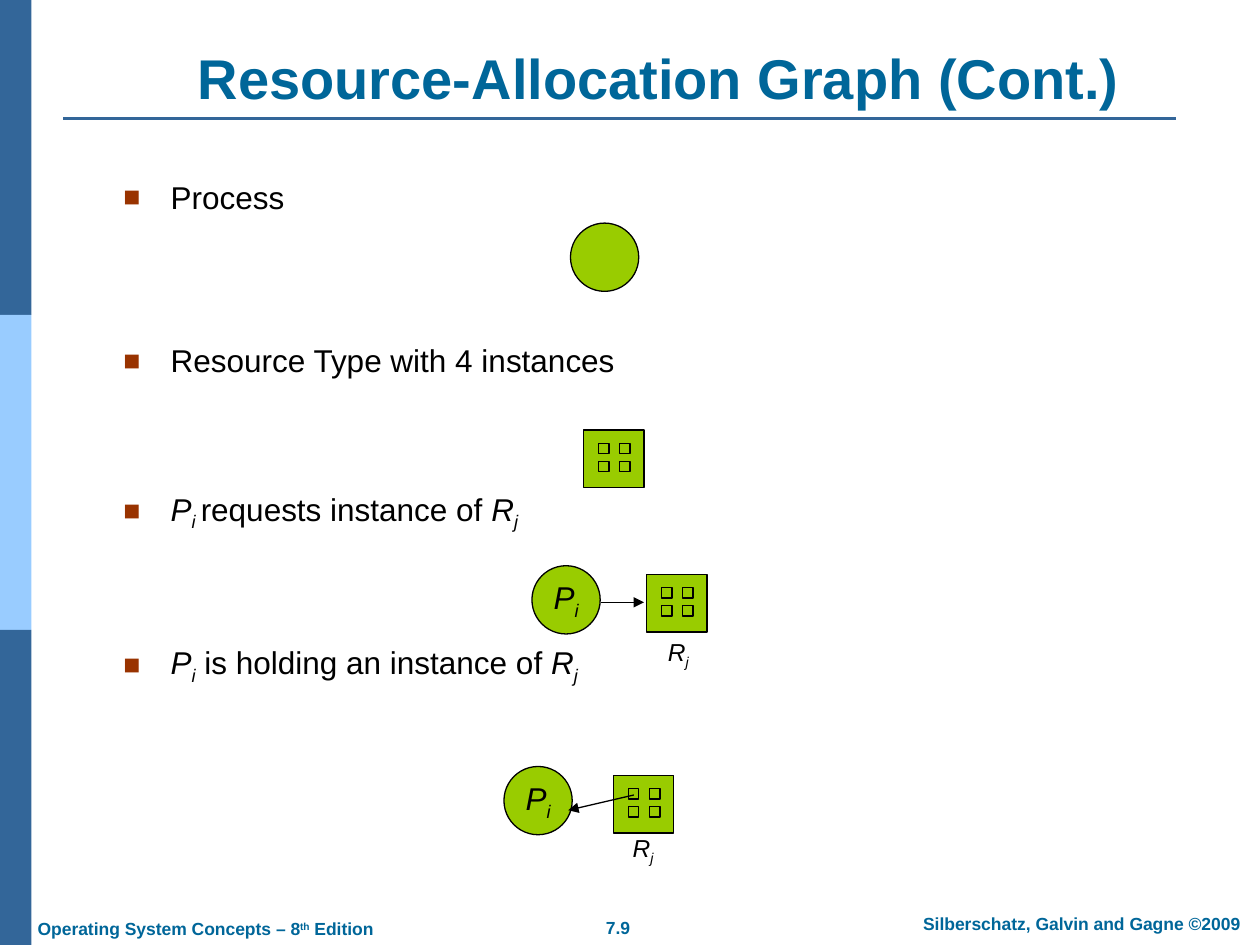
from lxml import etree
from pptx import Presentation
from pptx.dml.color import RGBColor
from pptx.enum.shapes import MSO_CONNECTOR, MSO_SHAPE
from pptx.enum.text import MSO_ANCHOR, PP_ALIGN
from pptx.oxml.ns import qn
from pptx.util import Pt

RECT, OVAL = MSO_SHAPE.RECTANGLE, MSO_SHAPE.OVAL
LINE = MSO_CONNECTOR.STRAIGHT
LEFT, CENTER = PP_ALIGN.LEFT, PP_ALIGN.CENTER
TOP, MIDDLE, BOTTOM = MSO_ANCHOR.TOP, MSO_ANCHOR.MIDDLE, MSO_ANCHOR.BOTTOM

NAVY = RGBColor(0x33, 0x66, 0x99)
SKY = RGBColor(0x99, 0xCC, 0xFF)
TEAL = RGBColor(0x00, 0x66, 0x99)
GREEN = RGBColor(0x99, 0xCC, 0x00)
BLACK = RGBColor(0, 0, 0)
RUST = RGBColor(0x99, 0x33, 0x00)

HEAD = {"size": Pt(32), "bold": True}
FOOT = {"size": Pt(10), "bold": True}
BODY = {"size": Pt(18)}
NAME = {"size": Pt(18), "italic": True}
MARK = {"size": Pt(14), "italic": True}
SUB, SUPER = -25000, 30000


class Deck:
    """Holds the font and the current slide; all lengths are points."""

    font = "Arial"

    def __init__(self, slide):
        self.slide = slide
        self.shapes = slide.shapes

    def shape(self, kind, box, fill, edge=None, home=None):
        item = (home or self.shapes).add_shape(kind, *map(Pt, box))
        item.shadow.inherit = False
        item.fill.solid()
        item.fill.fore_color.rgb = fill
        if edge is None:
            item.line.fill.background()
        else:
            item.line.color.rgb = edge
            item.line.width = Pt(0.75)
        return item

    def frame(self, item, anchor, wrap=True, inset=(7.2, 3.6)):
        side, end = map(Pt, inset)
        frame = item.text_frame
        values = {"word_wrap": wrap, "vertical_anchor": anchor,
                  "margin_left": side, "margin_right": side,
                  "margin_top": end, "margin_bottom": end}
        for key, value in values.items():
            setattr(frame, key, value)
        return frame

    def fill(self, para, runs, color, align=CENTER):
        """Add (text, style, baseline shift) runs to a paragraph."""
        para.alignment = align
        for text, style, shift in runs:
            run = para.add_run()
            run.text = text
            for key, value in {"name": self.font, **style}.items():
                setattr(run.font, key, value)
            run.font.color.rgb = color
            if shift:
                run._r.get_or_add_rPr().set("baseline", str(shift))

    def text(self, box, runs, color, align=CENTER, anchor=TOP, **opts):
        item = self.shapes.add_textbox(*map(Pt, box))
        frame = self.frame(item, anchor, **opts)
        self.fill(frame.paragraphs[0], runs, color, align)

    def bullets(self, box, items):
        """Add square-bulleted paragraphs from (space before, runs) pairs."""
        frame = self.frame(self.shapes.add_textbox(*map(Pt, box)), TOP)
        for spot, (gap, runs) in enumerate(items):
            para = frame.add_paragraph() if spot else frame.paragraphs[0]
            self.fill(para, runs, BLACK, LEFT)
            para.space_before = Pt(gap)
            props = para._p.get_or_add_pPr()
            props.set("marL", str(Pt(27)))
            props.set("indent", str(Pt(-27)))
            tint = etree.SubElement(props, qn("a:buClr"))
            etree.SubElement(tint, qn("a:srgbClr"), val=str(RUST))
            etree.SubElement(props, qn("a:buSzPct"), val="90000")
            etree.SubElement(props, qn("a:buFont"), typeface=self.font)
            etree.SubElement(props, qn("a:buChar"), char="■")

    def line(self, start, end, color, width, arrow=False):
        item = self.shapes.add_connector(LINE, *map(Pt, start + end))
        item.line.color.rgb = color
        item.line.width = Pt(width)
        if arrow:
            stroke = item.line._get_or_add_ln()
            etree.SubElement(stroke, qn("a:tailEnd"), type="triangle")
        etree.SubElement(item._element.spPr, qn("a:effectLst"))

    def process(self, x, y, runs=()):
        item = self.shape(OVAL, (x, y, 39, 39), GREEN, BLACK)
        if runs:
            frame = self.frame(item, MIDDLE, wrap=False, inset=(0, 0))
            self.fill(frame.paragraphs[0], runs, BLACK)

    def resource(self, x, y):
        """Draw a resource type with a two-by-two grid of instances."""
        home = self.shapes.add_group_shape().shapes
        self.shape(RECT, (x, y, 34.5, 33), GREEN, BLACK, home)
        for row in range(2):
            for col in range(2):
                box = (x + 8.6 + 12 * col, y + 7.6 + 10.3 * row, 6, 6)
                self.shape(RECT, box, GREEN, BLACK, home)


def pair(name, sub, style):
    return [(name, style, 0), (sub, style, SUB)]


def main():
    show = Presentation()
    show.slide_width, show.slide_height = Pt(720), Pt(540)
    deck = Deck(show.slides.add_slide(show.slide_layouts[6]))

    for spot, tone in enumerate((NAVY, SKY, NAVY)):
        deck.shape(RECT, (0, 180 * spot, 18, 180), tone)
    deck.line((36, 67.7), (672, 67.7), NAVY, 1.5)

    deck.text((335.5, 520.6, 35.3, 19.4), [("7.9", FOOT, 0)], TEAL)
    deck.text((511.2, 518.4, 213.8, 19.4),
              [("Silberschatz, Galvin and Gagne ©2009", FOOT, 0)], TEAL)
    deck.text((14.4, 521.3, 207.4, 19.4),
              [("Operating System Concepts – 8", FOOT, 0),
               ("th", FOOT, SUPER), (" Edition", FOOT, 0)], TEAL, LEFT)
    deck.text((69, 21.6, 615, 45.4),
              [("Resource-Allocation Graph (Cont.)", HEAD, 0)],
              TEAL, anchor=BOTTOM)

    end = pair("R", "j", NAME)
    deck.bullets((63.4, 98, 648, 356.4), [
        (0, [("Process", BODY, 0)]),
        (72, [("Resource Type with 4 instances", BODY, 0)]),
        (63, pair("P", "i ", NAME)
         + [("requests instance of ", BODY, 0)] + end),
        (63, pair("P", "i", NAME)
         + [(" is holding an instance of ", BODY, 0)] + end),
    ])

    label = pair("P", "i", NAME)
    deck.process(326, 127.5)
    deck.process(288, 438, label)
    deck.process(304, 323.3, label)
    for x, y in ((333.5, 245.7), (369.5, 328.2), (350.5, 443)):
        deck.resource(x, y)
    deck.line((343.5, 344.2), (368, 344.2), BLACK, 0.75, True)
    deck.line((362.2, 454.3), (324.7, 463), BLACK, 0.75, True)
    for x, y in ((374.4, 361.4), (354.2, 473.8)):
        deck.text((x, y, 26.6, 23.8), pair("R", "j", MARK), BLACK,
                  anchor=MIDDLE, wrap=False)

    show.save("out.pptx")


if __name__ == "__main__":
    main()
